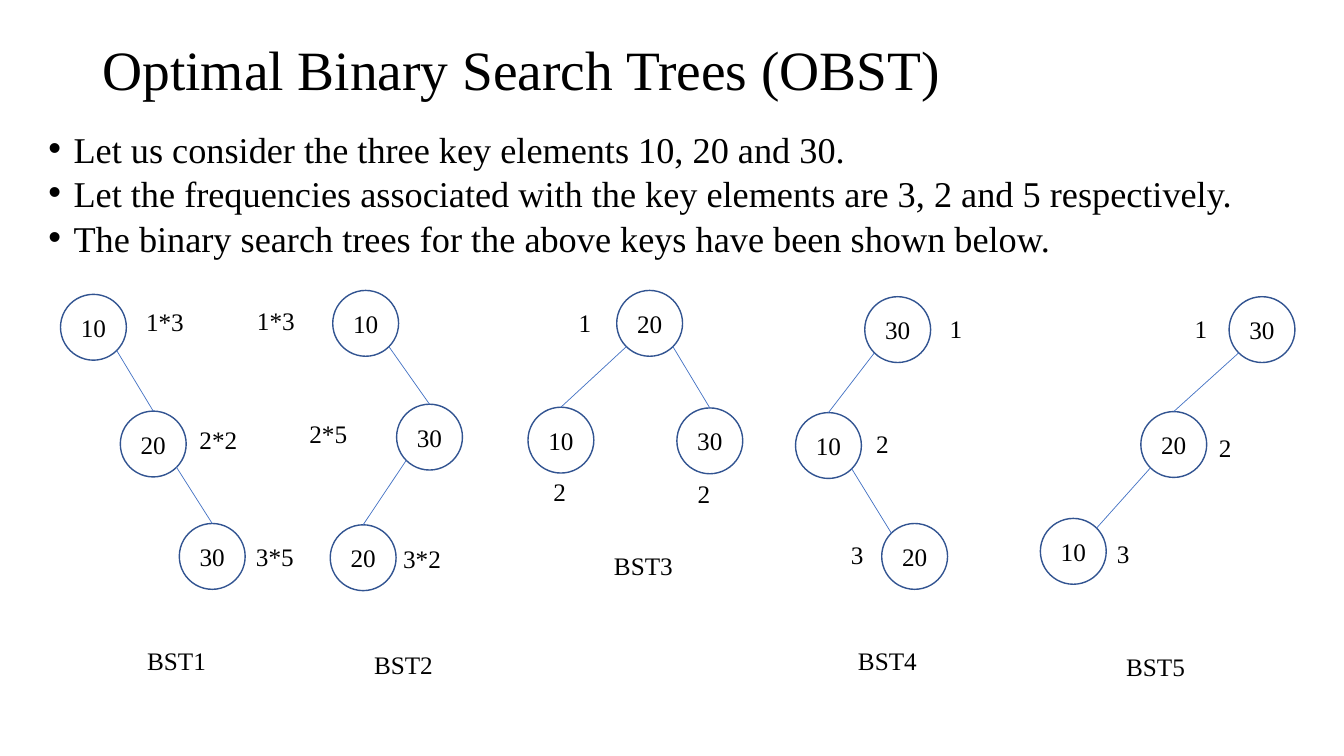
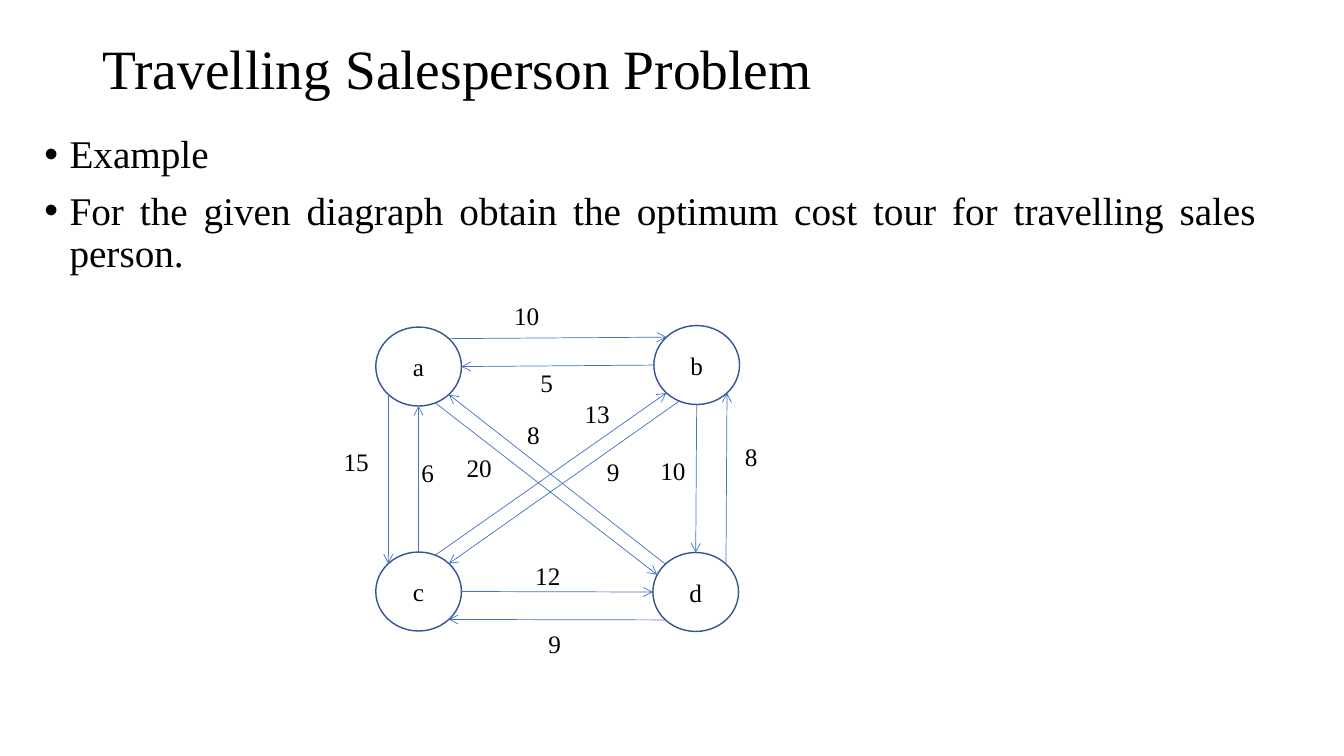
from dataclasses import dataclass
from math import cos, radians, sin

from lxml.etree import SubElement
from pptx import Presentation
from pptx.dml.color import RGBColor
from pptx.enum.shapes import MSO_CONNECTOR as Connector, MSO_SHAPE as Preset
from pptx.enum.text import MSO_ANCHOR as Anchor, MSO_AUTO_SIZE as AutoSize, PP_ALIGN as Align
from pptx.oxml.ns import qn
from pptx.util import Inches, Pt


@dataclass(frozen=True)
class Theme:
    font: str = "Times New Roman"
    ink: RGBColor = RGBColor(0, 0, 0)
    paper: RGBColor = RGBColor(255, 255, 255)
    outline: RGBColor = RGBColor.from_string("325491")
    link: RGBColor = RGBColor.from_string("4472C4")
    title: float = 39.6
    label: float = 18
    outline_width: float = 1
    link_width: float = 0.5


theme = Theme()
deck = Presentation()
deck.slide_width, deck.slide_height = Inches(13.33), Inches(7.5)
cell = deck.slide_height / 45
label_width, caption_width, label_height = 4.5, 13.33, 2.4
TOP = 270


def write(frame, *lines, size=theme.label, align=Align.LEFT, anchor=Anchor.TOP,
          spacing=1.0, before=0, hanging=0):
    frame.word_wrap = True
    frame.auto_size = AutoSize.NONE
    frame.vertical_anchor = anchor
    for index, line in enumerate(lines):
        para = frame.add_paragraph() if index else frame.paragraphs[0]
        para.alignment, para.line_spacing, para.space_before = align, spacing, Pt(before)
        if hanging:
            properties = para._p.get_or_add_pPr()
            properties.set("marL", str(Inches(hanging)))
            properties.set("indent", str(-Inches(hanging)))
        span = para.add_run()
        span.text = line
        span.font.name, span.font.size = theme.font, Pt(size)
        span.font.color.rgb = theme.ink


def rim(node, angle):
    turn = radians(angle)
    return (round(node.left + node.width / 2 * (1 + cos(turn))),
            round(node.top + node.height / 2 * (1 + sin(turn))))


trees = [
    dict(nodes=[("10", 5.56, 19.48), ("20", 9.12, 26.43), ("30", 12.63, 33.12)],
         edges=[("10", 45, "20", TOP), ("20", 45, "30", TOP)],
         labels=[("1*3", 8.1, 17.94), ("2*2", 11.28, 24.96), ("3*5", 14.64, 31.92)],
         captions=[("BST1", 3.84, 38.1)]),
    dict(nodes=[("10", 21.76, 19.25), ("30", 25.56, 26.02), ("20", 21.61, 33.2)],
         edges=[("10", 45, "30", TOP), ("30", 135, "20", TOP)],
         labels=[("1*3", 14.7, 17.88), ("2*5", 17.82, 24.6), ("3*2", 23.4, 32.04)],
         captions=[("BST2", 17.34, 38.34)]),
    dict(nodes=[("20", 38.66, 19.25), ("10", 33.38, 26.2), ("30", 42.24, 26.24)],
         edges=[("20", 135, "10", TOP), ("20", 45, "30", TOP)],
         labels=[("1", 33.84, 18), ("2", 32.34, 28.08), ("2", 40.92, 28.2)],
         captions=[("BST3", 31.62, 32.46)]),
    dict(nodes=[("30", 53.42, 19.62), ("10", 49.3, 26.52), ("20", 54.43, 33.12)],
         edges=[("30", 135, "10", TOP), ("10", 45, "20", 225)],
         labels=[("1", 55.92, 18.36), ("2", 51.54, 25.2), ("3", 50.04, 31.8)],
         captions=[("BST4", 46.14, 38.1)]),
    dict(nodes=[("30", 75.1, 19.62), ("20", 69.85, 26.46), ("10", 63.87, 32.82)],
         edges=[("30", 135, "20", TOP), ("20", 135, "10", 315)],
         labels=[("1", 70.5, 18.36), ("2", 71.94, 25.44), ("3", 65.88, 31.74)],
         captions=[("BST5", 62.1, 38.46)]),
]

digraph = dict(
    nodes=[("a", 24.91, 21.82), ("b", 41.46, 21.73), ("c", 24.91, 35.21), ("d", 41.4, 35.24)],
    edges=[("a", 315, "b", 225), ("b", 180, "a", 0),
           ("a", 135, "c", 225), ("c", TOP, "a", 90),
           ("c", 0, "d", 180), ("d", 135, "c", 45),
           ("b", 90, "d", TOP), ("d", 315, "b", 45),
           ("a", 67, "d", 206), ("d", 225, "a", 45),
           ("c", 293, "b", 135), ("b", 114, "c", 315)],
    labels=[("10", 30, 17.58), ("5", 31.56, 21.54), ("15", 19.86, 26.28), ("6", 24.48, 26.94),
            ("12", 31.26, 33.06), ("9", 32.04, 37.08), ("10", 38.7, 26.82), ("8", 43.74, 25.98),
            ("20", 27.18, 26.64), ("8", 30.78, 24.66), ("13", 34.2, 23.4), ("9", 35.52, 26.88)],
    captions=[])

pages = [
    dict(title="Optimal Binary Search Trees (OBST)",
         title_area=(5.5, 2.4, 69, 3.84),
         bullets=["Let us consider the three key elements 10, 20 and 30.",
                  "Let the frequencies associated with the key elements are 3, 2 and 5 respectively.",
                  "The binary search trees for the above keys have been shown below."],
         body_area=(2.28, 7.98, 75.48, 8.04),
         body_format=dict(size=25.9, spacing=0.7),
         diagrams=trees, node_size=(3.92, 3.92), directed=False),
    dict(title="Travelling Salesperson Problem",
         title_area=(5.5, 2.4, 49.86, 3.66),
         bullets=["Example",
                  "For the given diagraph obtain the optimum cost tour for travelling sales person."],
         body_area=(2.04, 7.74, 73.32, 35.1),
         body_format=dict(size=28, spacing=0.9, align=Align.JUSTIFY),
         diagrams=[digraph], node_size=(5.1, 4.7), directed=True),
]

for content in pages:
    page = deck.slides.add_slide(deck.slide_layouts[1])
    title, body = page.placeholders
    for holder, area in ((title, content["title_area"]), (body, content["body_area"])):
        holder.left, holder.top, holder.width, holder.height = (round(n * cell) for n in area)
    write(title.text_frame, content["title"], size=theme.title, anchor=Anchor.MIDDLE, spacing=0.9)
    write(body.text_frame, *content["bullets"], before=10, hanging=0.25, **content["body_format"])

    wide, high = content["node_size"]
    for diagram in content["diagrams"]:
        shapes = page.shapes.add_group_shape().shapes
        nodes = {}
        for name, x, y in diagram["nodes"]:
            area = (x - wide / 2, y - high / 2, wide, high)
            node = shapes.add_shape(Preset.OVAL, *(round(n * cell) for n in area))
            node.shadow.inherit = False
            node.fill.solid()
            node.fill.fore_color.rgb = theme.paper
            node.line.color.rgb = theme.outline
            node.line.width = Pt(theme.outline_width)
            frame = node.text_frame
            frame.margin_left = frame.margin_right = frame.margin_top = frame.margin_bottom = 0
            write(frame, name, align=Align.CENTER, anchor=Anchor.MIDDLE)
            nodes[name] = node

        for start, leave, end, arrive in diagram["edges"]:
            edge = shapes.add_connector(Connector.STRAIGHT, *rim(nodes[start], leave),
                                        *rim(nodes[end], arrive))
            if leave == TOP:
                edge.begin_connect(nodes[start], 0)
            if arrive == TOP:
                edge.end_connect(nodes[end], 0)
            edge.line.color.rgb = theme.link
            edge.line.width = Pt(theme.link_width)
            if content["directed"]:
                SubElement(edge.line._get_or_add_ln(), qn("a:tailEnd"), type="arrow")
            SubElement(edge._element.spPr, qn("a:effectLst"))

        for kind, width, align in (("labels", label_width, Align.LEFT),
                                   ("captions", caption_width, Align.CENTER)):
            for text, x, y in diagram[kind]:
                area = (x, y, width, label_height)
                box = shapes.add_textbox(*(round(n * cell) for n in area))
                write(box.text_frame, text, align=align)

deck.save("out.pptx")
